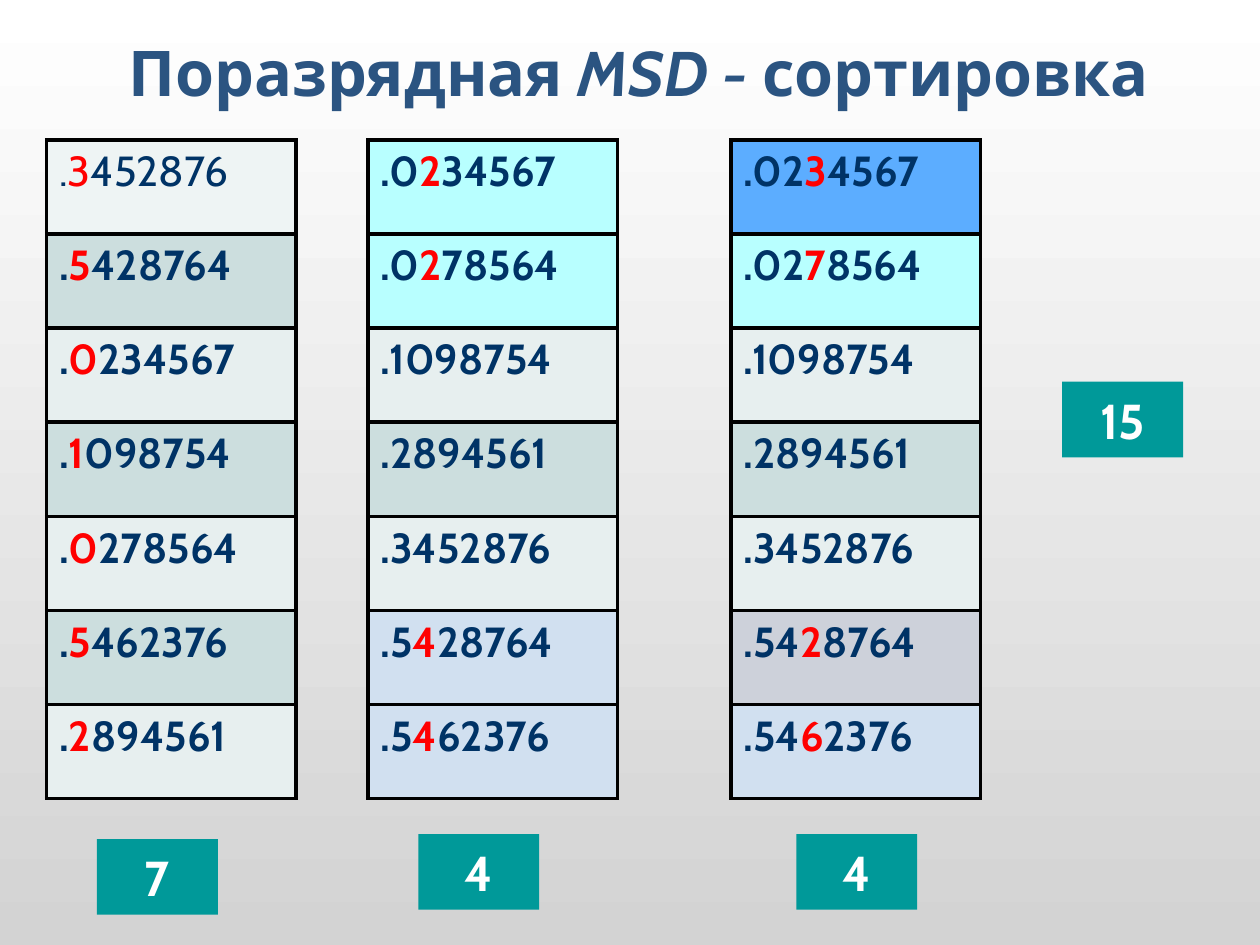
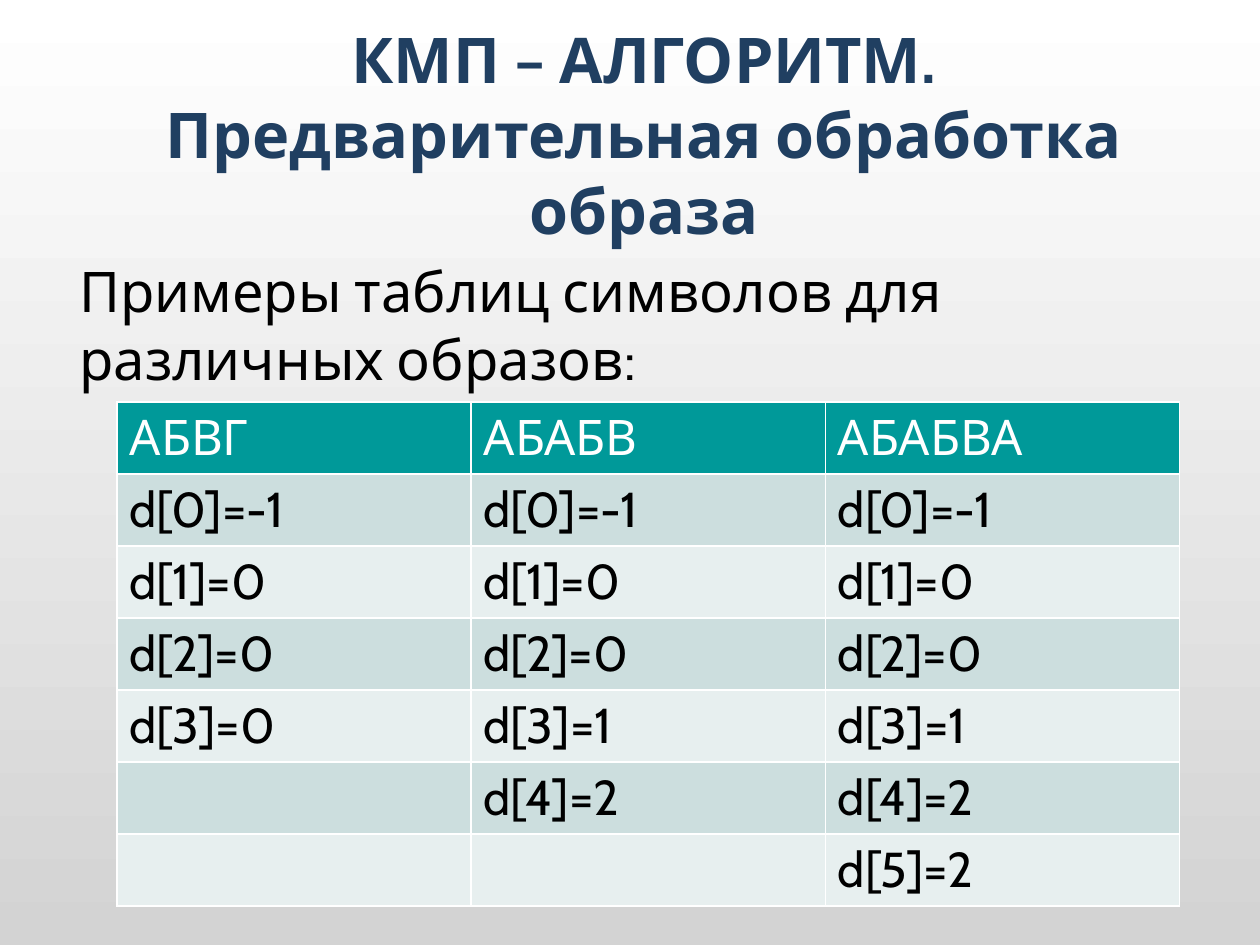
from lxml import etree
from pptx import Presentation
from pptx.dml.color import RGBColor
from pptx.enum import shapes, text
from pptx.oxml import ns
from pptx.util import Inches, Pt

HUES = {
    "top": "FFFFFF", "base": "D3D3D3", "white": "FFFFFF", "black": "000000",
    "navy": "003366", "title": "2B5481", "deep": "203F61", "red": "FF0000",
    "teal": "009999", "pale": "E7EFEF", "band": "CCDEDE", "first": "EEF4F4",
    "cyan": "B8FFFF", "blue": "5CADFF", "sky": "D1E0F0", "grey": "CDD1DA",
}
FONT = "Cabin"
COLS, ROWS = 100, 75  # grid of tenths of an inch


def hue(name):
    return RGBColor.from_string(HUES[name])


class Deck:
    """Holds the style and the current slide; lengths are grid units."""

    def __init__(self):
        self.prs = Presentation()
        self.prs.slide_width, self.prs.slide_height = Inches(10), Inches(7.5)
        self.slide = None

    def place(self, x, y, w, h):
        col, row = self.prs.slide_width / COLS, self.prs.slide_height / ROWS
        return [round(n * unit) for n, unit in zip((x, y, w, h), (col, row) * 2)]

    def page(self):
        self.slide = self.prs.slides.add_slide(self.prs.slide_layouts[6])
        fill = self.slide.background.fill
        fill.gradient()
        fill.gradient_angle = 270
        for stop, name in zip(fill.gradient_stops, ("top", "base")):
            stop.color.rgb = hue(name)

    def letter(self, frame, runs, size, color, bold=False, align="LEFT"):
        """Each run is a string and a dict of its own format values."""
        para = frame.paragraphs[0]
        para.alignment = getattr(text.PP_ALIGN, align)
        for words, own in runs:
            run = para.add_run()
            run.text = words
            form = {"name": FONT, "size": Pt(size), "bold": bold, "italic": False}
            look = {"color": color, **own}
            run.font.color.rgb = hue(look.pop("color"))
            for key, value in {**form, **look}.items():
                setattr(run.font, key, value)

    def label(self, box, runs, size, color, anchor="TOP", **form):
        frame = self.slide.shapes.add_textbox(*self.place(*box)).text_frame
        frame.word_wrap = True
        frame.vertical_anchor = getattr(text.MSO_ANCHOR, anchor)
        self.letter(frame, runs, size, color, **form)

    def title(self, box, runs, color):
        self.label(box, runs, 36, color, "MIDDLE", bold=True, align="CENTER")

    def badge(self, x, y, words):
        kind = shapes.MSO_SHAPE.RECTANGLE
        box = self.slide.shapes.add_shape(kind, *self.place(x, y, 9.6, 6))
        box.shadow.inherit = False
        box.fill.solid()
        box.fill.fore_color.rgb = hue("teal")
        box.line.fill.background()
        box.text_frame.vertical_anchor = text.MSO_ANCHOR.MIDDLE
        self.letter(box.text_frame, [(words, {})], 28, "white", bold=True, align="CENTER")

    def edge(self, cell, color, width):
        props = cell._tc.get_or_add_tcPr()
        for side in "LRTB":
            line = etree.SubElement(props, ns.qn("a:ln" + side), w=str(Pt(width)))
            paint = etree.SubElement(line, ns.qn("a:solidFill"))
            etree.SubElement(paint, ns.qn("a:srgbClr"), val=HUES[color])

    def table(self, box, count, wide):
        """Adds a table without banding and returns it."""
        grid = self.slide.shapes.add_table(count, wide, *self.place(*box)).table
        grid.first_row = grid.horz_banding = False
        return grid

    def cell(self, cell, runs, size, color, fill, line, bold=False):
        self.edge(cell, *line)
        cell.fill.solid()
        cell.fill.fore_color.rgb = hue(fill)
        self.letter(cell.text_frame, runs, size, color, bold)


def band(row):
    return "band" if row % 2 else "pale"


def radix(deck):
    deck.page()
    deck.title((5.7, 3.2, 90, 5),
               [("Поразрядная ", {}), ("MSD - ", {"italic": True}), ("сортировка", {})],
               "title")

    # Each pass: left edge, keys, marked digit, marked rows, own row fills
    start = "3452876 5428764 0234567 1098754 0278564 5462376 2894561".split()
    done = sorted(start)
    ends = (0, 1, 5, 6)
    passes = [
        (3.7, start, 1, range(7), {0: "first"}),
        (29.2, done, 2, ends, {0: "cyan", 1: "cyan", 5: "sky", 6: "sky"}),
        (58, done, 3, ends, {0: "blue", 1: "cyan", 5: "grey", 6: "sky"}),
    ]
    for left, keys, digit, marked, fills in passes:
        grid = deck.table((left, 11.1, 19.8, 52.3), len(keys), 1)
        for row, key in enumerate(keys):
            key = "." + key
            runs = [(key, {})]
            if row in marked:
                runs = [(key[:digit], {}), (key[digit], {"color": "red"}),
                        (key[digit + 1:], {})]
            deck.cell(grid.cell(row, 0), runs, 24, "navy", fills.get(row, band(row)),
                      ("black", 2.25), bold=fills.get(row) != "first")

    # Counts per pass and their total
    for x, y, count in ((7.7, 66.6, "7"), (33.2, 66.2, "4"),
                        (63.2, 66.2, "4"), (84.3, 30.3, "15")):
        deck.badge(x, y, count)


def search(deck):
    deck.page()
    deck.label((5.3, 19.9, 90, 12),
               [("Примеры таблиц символов для различных образов:", {})], 32, "black")
    deck.title((6.1, 2.4, 90, 16.4),
               [("КМП – АЛГОРИТМ. Предварительная обработка образа", {})], "deep")

    # One column per pattern: its shift values
    shifts = {"АБВГ": (-1, 0, 0, 0), "АБАБВ": (-1, 0, 0, 1, 2),
              "АБАБВА": (-1, 0, 0, 1, 2, 2)}
    count = 1 + max(map(len, shifts.values()))
    grid = deck.table((9.3, 31.9, 84.3, 40), count, len(shifts))
    grid.first_row = True
    for col, (word, values) in enumerate(shifts.items()):
        lines = [word] + [f"d[{i}]={value}" for i, value in enumerate(values)]
        for row in range(count):
            runs = [(line, {}) for line in lines[row:row + 1]]
            color, fill = ("black", band(row)) if row else ("white", "teal")
            deck.cell(grid.cell(row, col), runs, 28, color, fill, ("white", 1))


def main():
    deck = Deck()
    radix(deck)
    search(deck)
    deck.prs.save("out.pptx")


if __name__ == "__main__":
    main()
